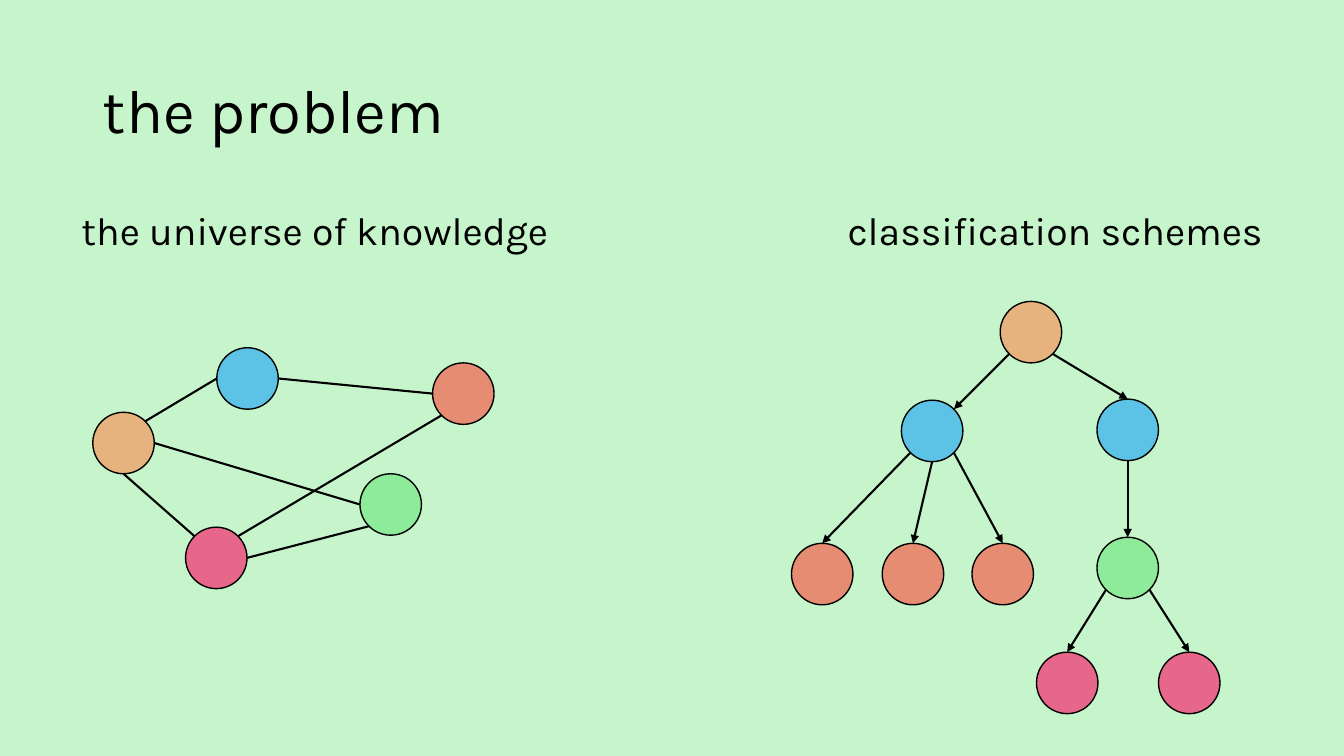
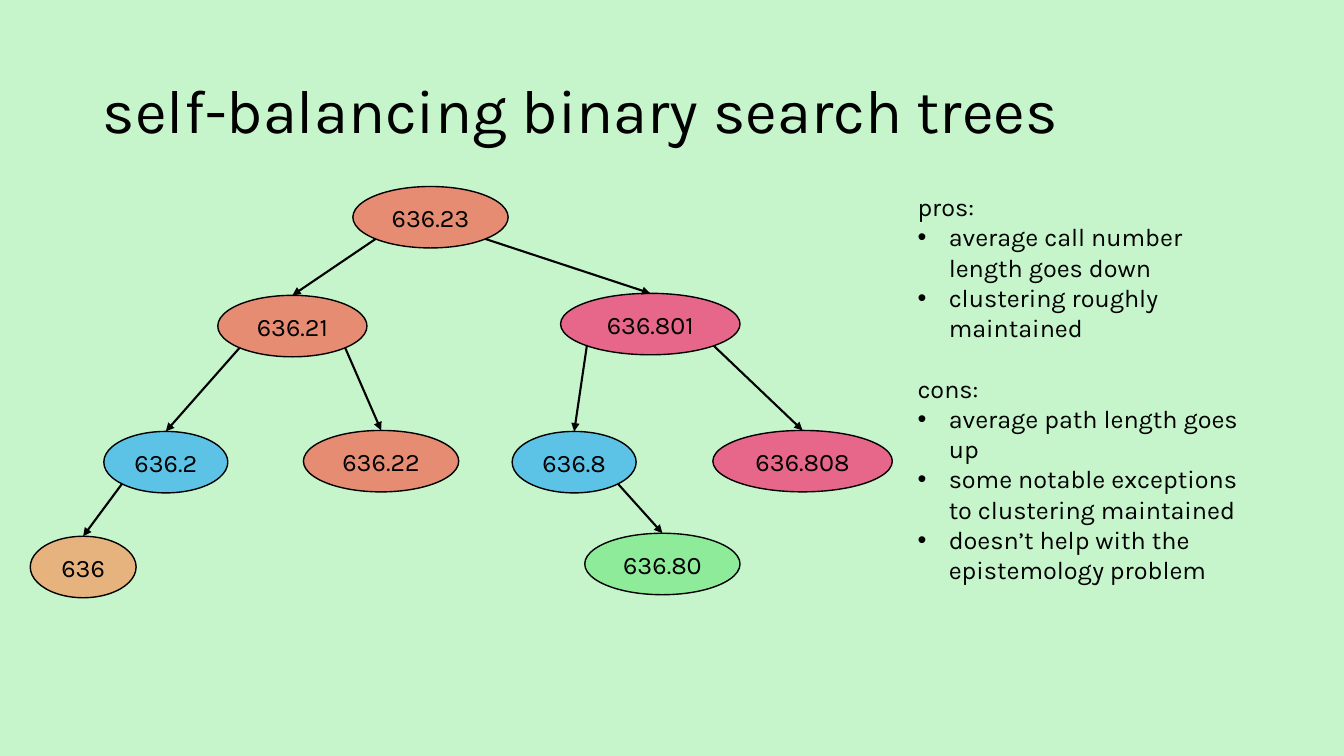
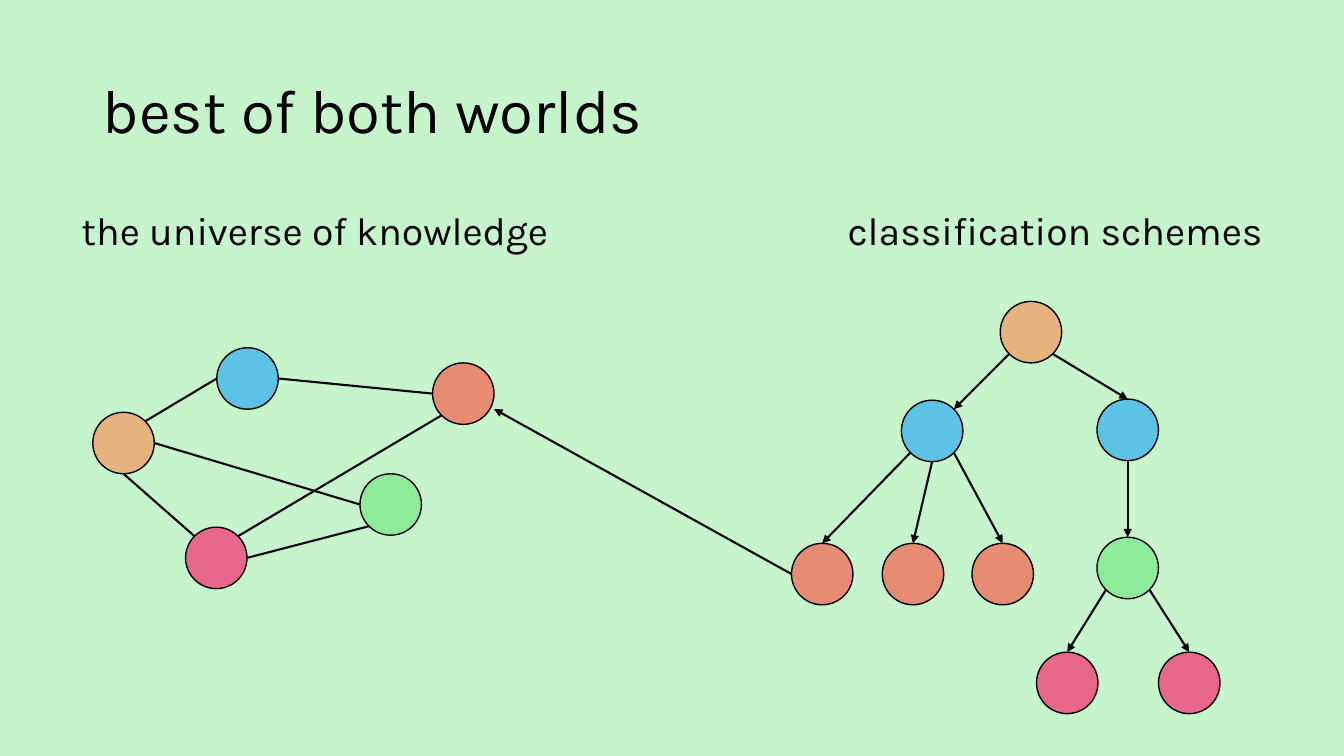
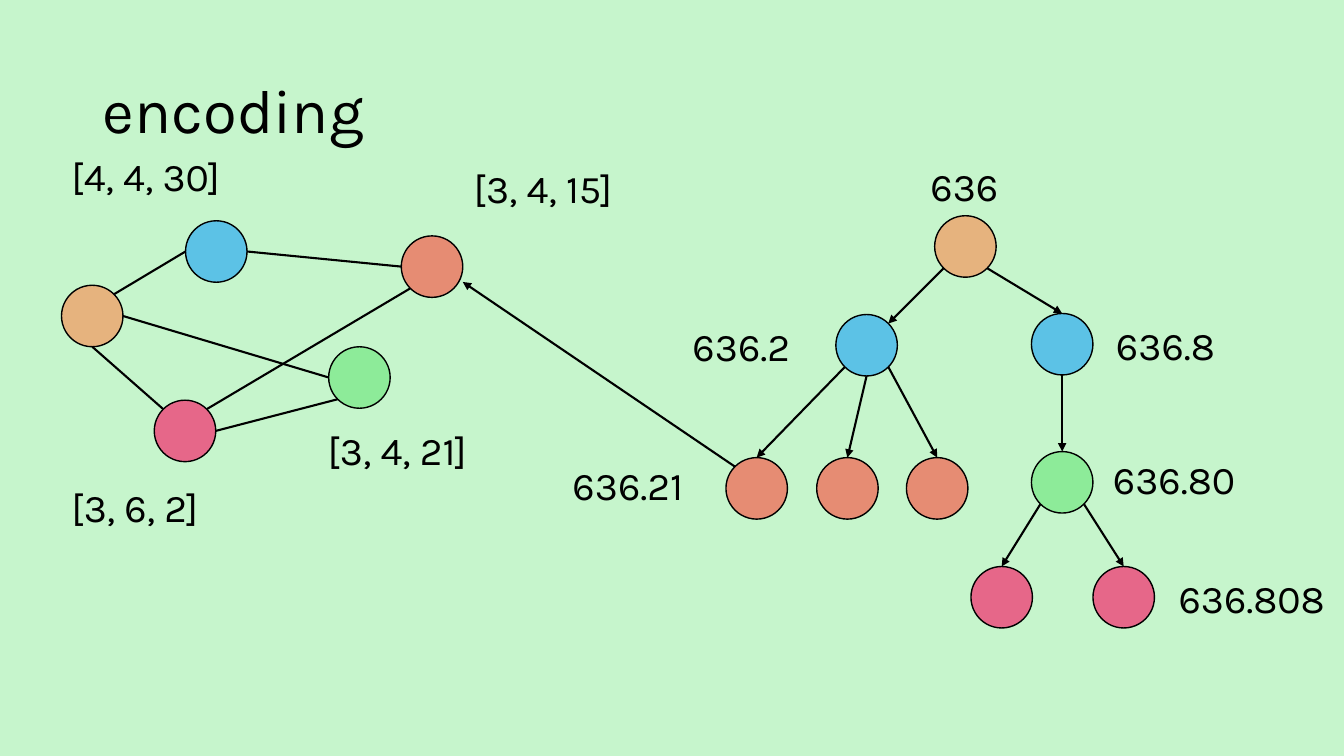
from math import sqrt

from lxml.etree import SubElement
from pptx import Presentation
from pptx.dml.color import RGBColor
from pptx.enum.shapes import MSO_CONNECTOR, MSO_SHAPE
from pptx.enum.text import MSO_ANCHOR, MSO_AUTO_SIZE, PP_ALIGN
from pptx.oxml.ns import qn
from pptx.util import Inches, Pt

COLORS = {
    "background": "C6F5CC",
    "ink": "000000",
    "orange": "E6B37E",
    "blue": "5CC2E6",
    "pink": "E66789",
    "green": "8DEB99",
    "red": "E68C73",
}
FONTS = {
    "title": {"name": "Karla", "size": Pt(44)},
    "label": {"name": "Karla", "size": Pt(28)},
    "body": {"name": "Karla", "size": Pt(18)},
}
TITLE_BOX = (0.92, 0.4, 11.5, 1.45)
NODE_HEIGHT = 0.61
LABEL_HEIGHT = 0.57
BULLET_INDENT = 0.31

TITLE_ONLY, TITLE_AND_CONTENT = 5, 1

TOP, TOP_LEFT, LEFT, BOTTOM_LEFT, BOTTOM, BOTTOM_RIGHT, RIGHT, TOP_RIGHT = range(8)
NEAR, FAR = 0.5 - sqrt(2) / 4, 0.5 + sqrt(2) / 4
ELLIPSE_SITES = [
    (0.5, 0), (NEAR, NEAR), (0, 0.5), (NEAR, FAR),
    (0.5, 1), (FAR, FAR), (1, 0.5), (FAR, NEAR),
]

UNIVERSE_NODES = {
    "origin": ("orange", 0, 0.64),
    "upper": ("blue", 1.23, 0),
    "lower": ("pink", 0.92, 1.78),
    "middle": ("green", 2.65, 1.25),
    "far": ("red", 3.37, 0.15),
}
UNIVERSE_EDGES = [
    ("origin", TOP_RIGHT, "upper", LEFT),
    ("origin", RIGHT, "middle", LEFT),
    ("origin", BOTTOM, "lower", TOP_LEFT),
    ("lower", RIGHT, "middle", BOTTOM_LEFT),
    ("far", LEFT, "upper", RIGHT),
    ("lower", TOP_RIGHT, "far", BOTTOM_LEFT),
]
SCHEME_NODES = {
    "root": ("orange", 2.07, 0),
    "left": ("blue", 1.09, 0.98),
    "right": ("blue", 3.03, 0.97),
    "first leaf": ("red", 0, 2.4),
    "second leaf": ("red", 0.9, 2.4),
    "third leaf": ("red", 1.79, 2.4),
    "branch": ("green", 3.03, 2.34),
    "fourth leaf": ("pink", 2.43, 3.48),
    "fifth leaf": ("pink", 3.64, 3.48),
}
SCHEME_EDGES = [
    ("root", BOTTOM_LEFT, "left", TOP_RIGHT),
    ("root", BOTTOM_RIGHT, "right", TOP),
    ("left", BOTTOM_LEFT, "first leaf", TOP),
    ("left", BOTTOM, "second leaf", TOP),
    ("left", BOTTOM_RIGHT, "third leaf", TOP),
    ("right", BOTTOM, "branch", TOP),
    ("branch", BOTTOM_LEFT, "fourth leaf", TOP),
    ("branch", BOTTOM_RIGHT, "fifth leaf", TOP),
]
SEARCH_NODES = {
    "636": ("orange", 0, 3.47, 1.05),
    "636.2": ("blue", 0.73, 2.43, 1.23),
    "636.8": ("blue", 4.78, 2.43, 1.23),
    "636.21": ("red", 1.86, 1.08, 1.48),
    "636.22": ("red", 2.71, 2.42, 1.54),
    "636.23": ("red", 3.2, 0, 1.54),
    "636.80": ("green", 5.5, 3.44, 1.54),
    "636.801": ("pink", 5.26, 1.06, 1.78),
    "636.808": ("pink", 6.77, 2.42, 1.78),
}
SEARCH_CHILDREN = {
    "636.23": ("636.21", "636.801"),
    "636.21": ("636.2", "636.22"),
    "636.2": ("636", None),
    "636.801": ("636.8", "636.808"),
    "636.8": (None, "636.80"),
}
ARGUMENTS = {
    "pros:": ["average call number length goes down", "clustering roughly maintained"],
    "cons:": [
        "average path length goes up",
        "some notable exceptions to clustering maintained",
        "doesn’t help with the epistemology problem",
    ],
}
SCHEME_LABELS = [
    ("636", 1.93, -0.58, 1),
    ("636.2", -0.43, 1.01, 1.23),
    ("636.21", -1.62, 2.39, 1.46),
    ("636.8", 3.77, 1, 1.32),
    ("636.80", 3.74, 2.33, 1.5),
    ("636.808", 4.39, 3.51, 1.75),
]
UNIVERSE_LABELS = [
    ("[3, 4, 15]", 3.99, -0.61, 1.91),
    ("[3, 4, 21]", 2.54, 1.99, 1.91),
    ("[3, 6, 2]", 0, 2.56, 1.91),
    ("[4, 4, 30]", 0, -0.73, 1.91),
]


def color(name):
    return RGBColor.from_string(COLORS[name])


def write(paragraph, text, style):
    run = paragraph.add_run()
    run.text = text
    for attribute, value in FONTS[style].items():
        setattr(run.font, attribute, value)
    run.font.color.rgb = color("ink")


def place(shape, box):
    for attribute, length in zip(("left", "top", "width", "height"), box):
        setattr(shape, attribute, Inches(length))


def add_titled_slide(presentation, title, layout=TITLE_ONLY):
    slide = presentation.slides.add_slide(presentation.slide_layouts[layout])
    place(slide.shapes.title, TITLE_BOX)
    frame = slide.shapes.title.text_frame
    frame.auto_size = MSO_AUTO_SIZE.NONE
    frame.vertical_anchor = MSO_ANCHOR.MIDDLE
    paragraph = frame.paragraphs[0]
    paragraph.alignment = PP_ALIGN.LEFT
    paragraph.line_spacing = 0.9
    write(paragraph, title, "title")
    return slide


def add_label(slide, text, left, top, width, alignment=PP_ALIGN.LEFT):
    lengths = [Inches(length) for length in (left, top, width, LABEL_HEIGHT)]
    frame = slide.shapes.add_textbox(*lengths).text_frame
    frame.word_wrap = True
    frame.paragraphs[0].alignment = alignment
    write(frame.paragraphs[0], text, "label")


def add_labels(slide, labels, left, top):
    for text, across, down, width in labels:
        add_label(slide, text, left + across, top + down, width)


def add_node(slide, fill, left, top, width=NODE_HEIGHT, text=None):
    lengths = [Inches(length) for length in (left, top, width, NODE_HEIGHT)]
    node = slide.shapes.add_shape(MSO_SHAPE.OVAL, *lengths)
    node.shadow.inherit = False
    node.fill.solid()
    node.fill.fore_color.rgb = color(fill)
    node.line.color.rgb = color("ink")
    node.line.width = Pt(1)
    if text:
        frame = node.text_frame
        frame.word_wrap = False
        frame.vertical_anchor = MSO_ANCHOR.MIDDLE
        frame.paragraphs[0].alignment = PP_ALIGN.CENTER
        write(frame.paragraphs[0], text, "body")
    return node


def point_on(node, across, down):
    return round(node.left + node.width * across), round(node.top + node.height * down)


def add_line(slide, start, end, arrow):
    connector = slide.shapes.add_connector(MSO_CONNECTOR.STRAIGHT, *start, *end)
    connector.line.color.rgb = color("ink")
    connector.line.width = Pt(1.5)
    if arrow:
        SubElement(connector.line._get_or_add_ln(), qn("a:tailEnd"), type="triangle")
    SubElement(connector.element.spPr, qn("a:effectLst"))
    return connector


def glue(connector, tag, node, site):
    properties = connector.element.find(".//" + qn("p:cNvCxnSpPr"))
    SubElement(properties, qn(tag), id=str(node.shape_id), idx=str(site))


def add_edge(slide, start, start_site, end, end_site, arrow):
    start_point = point_on(start, *ELLIPSE_SITES[start_site])
    end_point = point_on(end, *ELLIPSE_SITES[end_site])
    connector = add_line(slide, start_point, end_point, arrow)
    glue(connector, "a:stCxn", start, start_site)
    glue(connector, "a:endCxn", end, end_site)


def add_graph(slide, nodes, edges, left, top, arrow):
    placed = {
        name: add_node(slide, fill, left + across, top + down)
        for name, (fill, across, down) in nodes.items()
    }
    for start, start_site, end, end_site in edges:
        add_edge(slide, placed[start], start_site, placed[end], end_site, arrow)
    return placed


def add_universe(slide, left, top):
    return add_graph(slide, UNIVERSE_NODES, UNIVERSE_EDGES, left, top, arrow=False)


def add_scheme(slide, left, top):
    return add_graph(slide, SCHEME_NODES, SCHEME_EDGES, left, top, arrow=True)


def add_cross_link(slide, scheme, universe, site):
    leaf = scheme["first leaf"]
    start = point_on(leaf, *ELLIPSE_SITES[site])
    end = point_on(universe["far"], 1, 0.75)
    glue(add_line(slide, start, end, arrow=True), "a:stCxn", leaf, site)


def add_search_tree(slide, left, top):
    placed = {
        text: add_node(slide, fill, left + across, top + down, width, text)
        for text, (fill, across, down, width) in SEARCH_NODES.items()
    }
    for parent, children in SEARCH_CHILDREN.items():
        for site, child in zip((BOTTOM_LEFT, BOTTOM_RIGHT), children):
            if child:
                add_edge(slide, placed[parent], site, placed[child], TOP, arrow=True)


def add_argument(frame, text, bullet, space_before=0):
    paragraph = frame.paragraphs[0]
    if paragraph.runs:
        paragraph = frame.add_paragraph()
    properties = paragraph._p.get_or_add_pPr()
    indent = Inches(BULLET_INDENT) if bullet else 0
    properties.set("marL", str(indent))
    properties.set("indent", str(-indent))
    if bullet:
        SubElement(properties, qn("a:buFont"), typeface="Arial")
        SubElement(properties, qn("a:buChar"), char="•")
    else:
        SubElement(properties, qn("a:buNone"))
    paragraph.space_before = Pt(space_before)
    write(paragraph, text, "body")


def add_arguments(slide, box):
    body = slide.placeholders[1]
    place(body, box)
    frame = body.text_frame
    frame.auto_size = MSO_AUTO_SIZE.NONE
    frame.word_wrap = True
    for index, (heading, points) in enumerate(ARGUMENTS.items()):
        add_argument(frame, heading, bullet=False, space_before=21.6 * index)
        for point in points:
            add_argument(frame, point, bullet=True)


def build_comparison(presentation, title, linked):
    slide = add_titled_slide(presentation, title)
    add_label(slide, "the universe of knowledge", 0.71, 2, 5.4)
    add_label(slide, "classification schemes", 7.22, 2, 5.4, PP_ALIGN.RIGHT)
    universe = add_universe(slide, 0.92, 3.45)
    scheme = add_scheme(slide, 7.85, 2.99)
    if linked:
        add_cross_link(slide, scheme, universe, LEFT)


def build_search_trees(presentation):
    title = "self-balancing binary search trees"
    slide = add_titled_slide(presentation, title, TITLE_AND_CONTENT)
    add_search_tree(slide, 0.3, 1.85)
    add_arguments(slide, (9, 1.85, 3.42, 4.34))


def build_encoding(presentation):
    slide = add_titled_slide(presentation, "encoding")
    scheme_corner, universe_corner = (7.2, 2.14), (0.61, 2.19)
    scheme = add_scheme(slide, *scheme_corner)
    add_labels(slide, SCHEME_LABELS, *scheme_corner)
    universe = add_universe(slide, *universe_corner)
    add_cross_link(slide, scheme, universe, TOP_LEFT)
    add_labels(slide, UNIVERSE_LABELS, *universe_corner)


def main():
    presentation = Presentation()
    presentation.slide_width = Inches(13.33)
    presentation.slide_height = Inches(7.5)
    background = presentation.slide_master.background.fill
    background.solid()
    background.fore_color.rgb = color("background")
    build_comparison(presentation, "the problem", linked=False)
    build_search_trees(presentation)
    build_comparison(presentation, "best of both worlds", linked=True)
    build_encoding(presentation)
    presentation.save("out.pptx")


if __name__ == "__main__":
    main()
